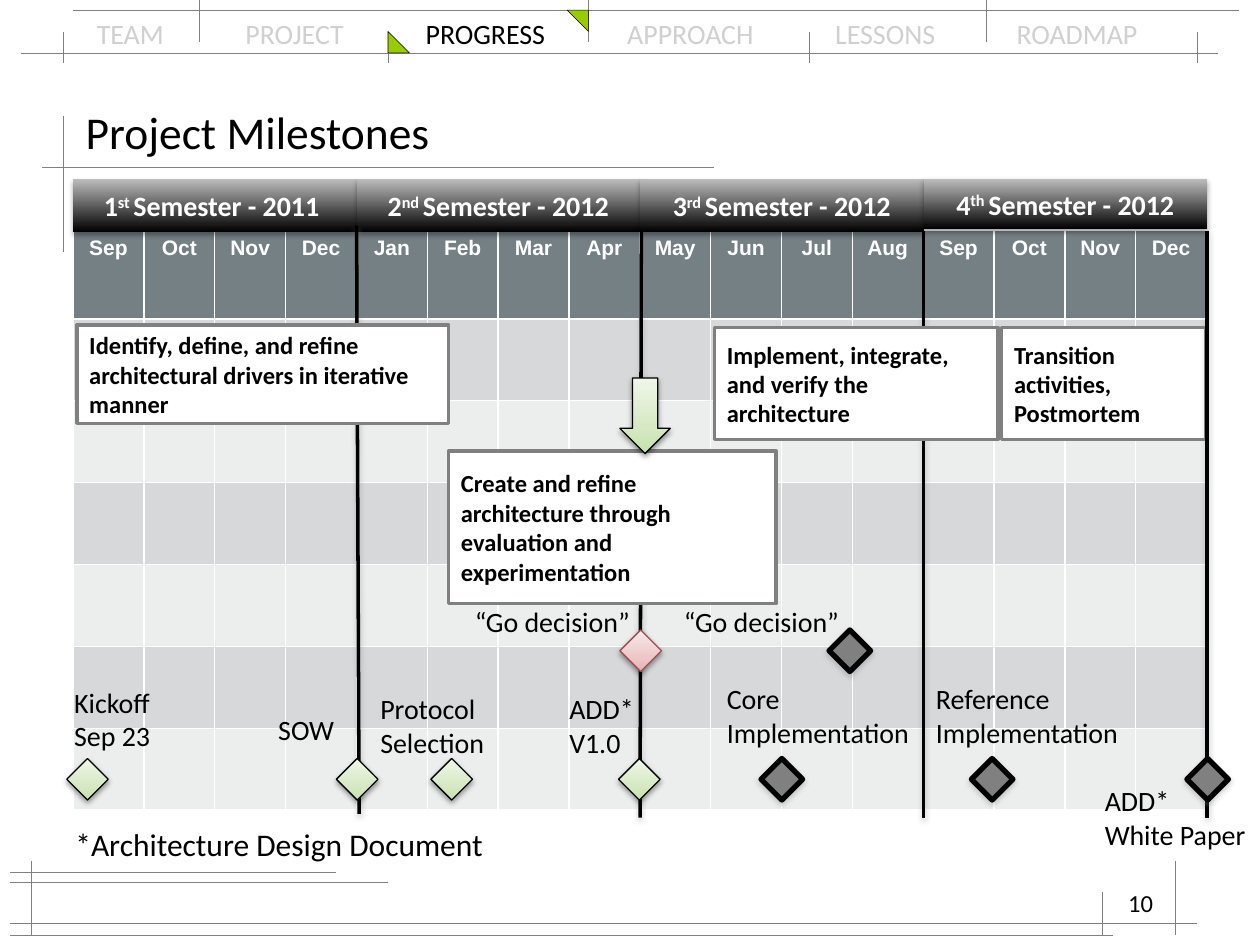
from lxml import etree
from pptx import Presentation
from pptx import util as u
from pptx.dml.color import RGBColor
from pptx.enum import shapes, text
from pptx.oxml.ns import qn

SHAPE = shapes.MSO_SHAPE
ALIGN = text.PP_ALIGN
ANCHOR = text.MSO_ANCHOR
GREEN = [(0, "EFF7E8"), (65, "D6E9C4"), (100, "C5E2AA")]
RED = [(0, "F9E9E9"), (65, "EEC8C8"), (100, "E8B0B0")]
HEADER = [(0, "000000"), (100, "BDBDBD")]
DIAMOND = 0.33


def color(value):
    return RGBColor.from_string(value)


def inches(*values):
    return [u.Inches(value) for value in values]


def child(parent, tag, **attributes):
    return etree.SubElement(parent, qn(tag), attributes)


def style(span_or_para, size, ink="000000", bold=False, face="Calibri"):
    font = span_or_para.font
    font.name, font.size, font.bold = face, u.Pt(size), bold
    font.color.rgb = color(ink)


def write(shape, content, size, bold=False, align=ALIGN.LEFT,
          anchor=ANCHOR.TOP, wrap=True):
    frame = shape.text_frame
    frame.text = content
    frame.word_wrap = wrap
    frame.vertical_anchor = anchor
    for para in frame.paragraphs:
        para.alignment = align
        for span in para.runs:
            style(span, size, bold=bold)


def add_label(page, box, content, size=16, **options):
    label = page.shapes.add_textbox(*inches(*box))
    write(label, content, size, **options)
    return label


def add_shadow(shape, ink="000000", alpha=38, distance=1.6):
    effects = shape.element.spPr.find(qn("a:effectLst"))
    if effects is None:
        effects = child(shape.element.spPr, "a:effectLst")
    shadow = child(effects, "a:outerShdw", blurRad=str(u.Pt(3.1)),
                   dist=str(u.Pt(distance)), dir="5400000", rotWithShape="0")
    tint = child(shadow, "a:srgbClr", val=ink)
    child(tint, "a:alpha", val=str(alpha * 1000))


def add_gradient(shape, stops, angle):
    geometry = shape.element.spPr.find(qn("a:prstGeom"))
    gradient = etree.Element(qn("a:gradFill"), rotWithShape="1")
    stop_list = child(gradient, "a:gsLst")
    for position, value in stops:
        stop = child(stop_list, "a:gs", pos=str(position * 1000))
        child(stop, "a:srgbClr", val=value)
    child(gradient, "a:lin", ang=str(angle * 60000), scaled="0")
    geometry.addnext(gradient)


def add_block(page, kind, box, fill, line=None, width=0.75, angle=90):
    """Add a preset shape; fill is a hex colour or a list of stops."""
    shape = page.shapes.add_shape(kind, *inches(*box))
    shape.shadow.inherit = False
    if isinstance(fill, str):
        shape.fill.solid()
        shape.fill.fore_color.rgb = color(fill)
    else:
        add_gradient(shape, fill, angle)
    if line:
        shape.line.color.rgb = color(line)
        shape.line.width = u.Pt(width)
    else:
        shape.line.fill.background()
    return shape


def add_line(page, ends, ink, width):
    line = page.shapes.add_connector(shapes.MSO_CONNECTOR.STRAIGHT, *inches(*ends))
    line.line.color.rgb = color(ink)
    line.line.width = u.Pt(width)
    child(line.element.spPr, "a:effectLst")
    return line


def add_rules(page):
    horizontal = [(0.17, 9.67, 0.42), (0.58, 9.83, 0.08), (0.33, 5.67, 1.33),
                  (0.08, 3.08, 7), (0.08, 9.5, 7.33), (0.08, 2.67, 6.92),
                  (0.08, 8.83, 7.42)]
    vertical = [(0.5, 0.92, 2), (0.25, 6.83, 7.42), (9.33, 6.83, 7.42),
                (8.75, 7.08, 7.42)]
    vertical += [(x, 0.25, 0.5) for x in (0.5, 3.08, 6.42, 9.5)]
    vertical += [(x, 0, 0.33) for x in (1.58, 4.67, 7.83)]
    for start, end, y in horizontal:
        add_line(page, (start, y, end, y), "808080", 0.3)
    for x, start, end in vertical:
        add_line(page, (x, start, x, end), "808080", 0.3)


def add_navigation(page, box, current):
    label = add_label(page, box, "TEAM\tPROJECT\tPROGRESS\tAPPROACH\tLESSONS\tROADMAP")
    para = label.text_frame.paragraphs[0]
    sections = para.text.split("\t")
    para.clear()
    stops = child(para._p.get_or_add_pPr(), "a:tabLst")
    for position in (1.18, 2.61, 4.21, 5.86, 7.3):
        child(stops, "a:tab", pos=str(u.Inches(position)), algn="l")
    for index, section in enumerate(sections):
        span = para.add_run()
        span.text = "\t" + section if index else section
        style(span, 16, "000000" if section == current else "D0D0D0")
    # Corner marks around the current section
    add_block(page, SHAPE.RIGHT_TRIANGLE, (3.08, 0.25, 0.17, 0.17), "99CC00", "000000", 0.3)
    corner = add_block(page, SHAPE.RIGHT_TRIANGLE, (4.5, 0.08, 0.17, 0.17),
                       "99CC00", "000000", 0.3)
    corner.rotation = 180


def add_title(page, box, content):
    title = page.shapes.title
    title.left, title.top, title.width, title.height = inches(*box)
    write(title, content, 26, anchor=ANCHOR.MIDDLE)


def add_calendar(page, box):
    months = "Sep Oct Nov Dec Jan Feb Mar Apr May Jun Jul Aug Sep Oct Nov Dec".split()
    table = page.shapes.add_table(7, len(months), *inches(*box)).table
    for column in table.columns:
        column.width = u.Inches(box[2] / len(months))
    for index, row in enumerate(table.rows):
        row.height = u.Inches(0.65 if index else 0.7)
        for cell, month in zip(row.cells, months):
            cell.fill.solid()
            if index:
                cell.fill.fore_color.rgb = color("D6D8D9" if index % 2 else "ECEDED")
                continue
            cell.fill.fore_color.rgb = color("758085")
            cell.text = month
            para = cell.text_frame.paragraphs[0]
            para.alignment = ALIGN.CENTER
            style(para.runs[0], 12, "FFFFFF", True, "Arial")


def add_semesters(page, box):
    left, top, width, height = box
    step = width / 4
    names = [("1", "st ", "Semester - 2011 "), ("2", "nd ", "Semester - 2012"),
             ("3", "rd ", "Semester - 2012"), ("4", "th ", "Semester - 2012")]
    for index, parts in enumerate(names):
        depth = height if index < 3 else height - 0.02
        header = add_block(page, SHAPE.RECTANGLE, (left + index * step, top, step, depth),
                           HEADER, angle=270)
        add_shadow(header, alpha=35, distance=1.8)
        header.text_frame.vertical_anchor = ANCHOR.MIDDLE
        para = header.text_frame.paragraphs[0]
        para.alignment = ALIGN.CENTER
        for part in parts:
            span = para.add_run()
            span.text = part
            style(span, 16, "FFFFFF", True)
        para.runs[1].font._element.set("baseline", "30000")


def add_divider(page, ends):
    add_shadow(add_line(page, ends, "000000", 2), "808080")


def add_phase(page, box, content):
    phase = add_block(page, SHAPE.RECTANGLE, box, "FFFFFF", "808080", 2)
    write(phase, content, 14, bold=True, anchor=ANCHOR.MIDDLE)


def add_milestone(page, left, top, state):
    fill, line, width, shade = {"done": (GREEN, "000000", 0.75, "000000"),
                                "decision": (RED, "9A4E4E", 0.75, "000000"),
                                "planned": ("808080", "000000", 3, "808080")}[state]
    diamond = add_block(page, SHAPE.DIAMOND, (left, top, DIAMOND, DIAMOND), fill, line, width)
    add_shadow(diamond, shade)


def main():
    deck = Presentation()
    deck.slide_width, deck.slide_height = inches(10, 7.5)
    page = deck.slides.add_slide(deck.slide_layouts[5])

    # Page frame
    add_rules(page)
    add_navigation(page, (0.67, 0.08, 8.9, 0.37), "PROGRESS")
    add_title(page, (0.58, 0.75, 8.83, 0.58), "Project Milestones")

    # Timeline grid
    add_calendar(page, (0.58, 1.83, 9, 4.6))
    add_semesters(page, (0.58, 1.42, 9, 0.42))
    for ends in [(2.83, 1.79, 2.85, 6.46), (5.09, 1.83, 5.08, 6.49), (7.33, 1.83, 7.33, 6.49)]:
        add_divider(page, ends)

    # Phases
    for box, content in [
            ((0.61, 2.58, 2.95, 0.78),
             "Identify, define, and refine architectural drivers in iterative manner"),
            ((3.56, 3.58, 2.6, 1.21),
             "Create and refine architecture through evaluation and experimentation"),
            ((5.67, 2.6, 2.25, 0.89), "Implement, integrate, and verify the architecture"),
            ((7.95, 2.6, 1.62, 0.89), "Transition activities,\nPostmortem")]:
        add_phase(page, box, content)
    add_divider(page, (9.58, 1.83, 9.58, 6.49))
    add_shadow(add_block(page, SHAPE.DOWN_ARROW, (4.92, 3, 0.4, 0.6), GREEN, "000000"))

    # Milestones and their labels
    for left, top, state, box, content in [
            (0.53, 6.02, "done", (0.49, 5.39, 0.82, 0.64), "Kickoff\nSep 23"),
            (2.67, 6.02, "done", (2.11, 5.61, 0.65, 0.37), "SOW"),
            (3.42, 6.02, "done", (2.92, 5.44, 1.11, 0.64), "Protocol Selection"),
            (4.91, 6.02, "done", (4.42, 5.44, 1, 0.64), "ADD*\nV1.0"),
            (6.04, 6.02, "planned", (5.67, 5.36, 1.75, 0.64), "Core Implementation"),
            (7.71, 6.02, "planned", (7.33, 5.36, 1.88, 0.64), "Reference Implementation"),
            (9.42, 6.02, "planned", (8.67, 6.17, 1.5, 0.64), "ADD*\nWhite Paper"),
            (4.92, 5, "decision", (3.67, 4.75, 1.5, 0.37), "“Go decision”"),
            (6.58, 5, "planned", (5.33, 4.75, 1.5, 0.37), "“Go decision”")]:
        add_milestone(page, left, top, state)
        add_label(page, box, content, wrap=box[2] > 0.9)

    # Footnote and page number
    add_label(page, (0.5, 6.5, 4.33, 0.4), "*Architecture Design Document", 18)
    add_label(page, (7.17, 7, 2.08, 0.5), "10", 14, align=ALIGN.RIGHT)
    deck.save("out.pptx")


if __name__ == "__main__":
    main()
